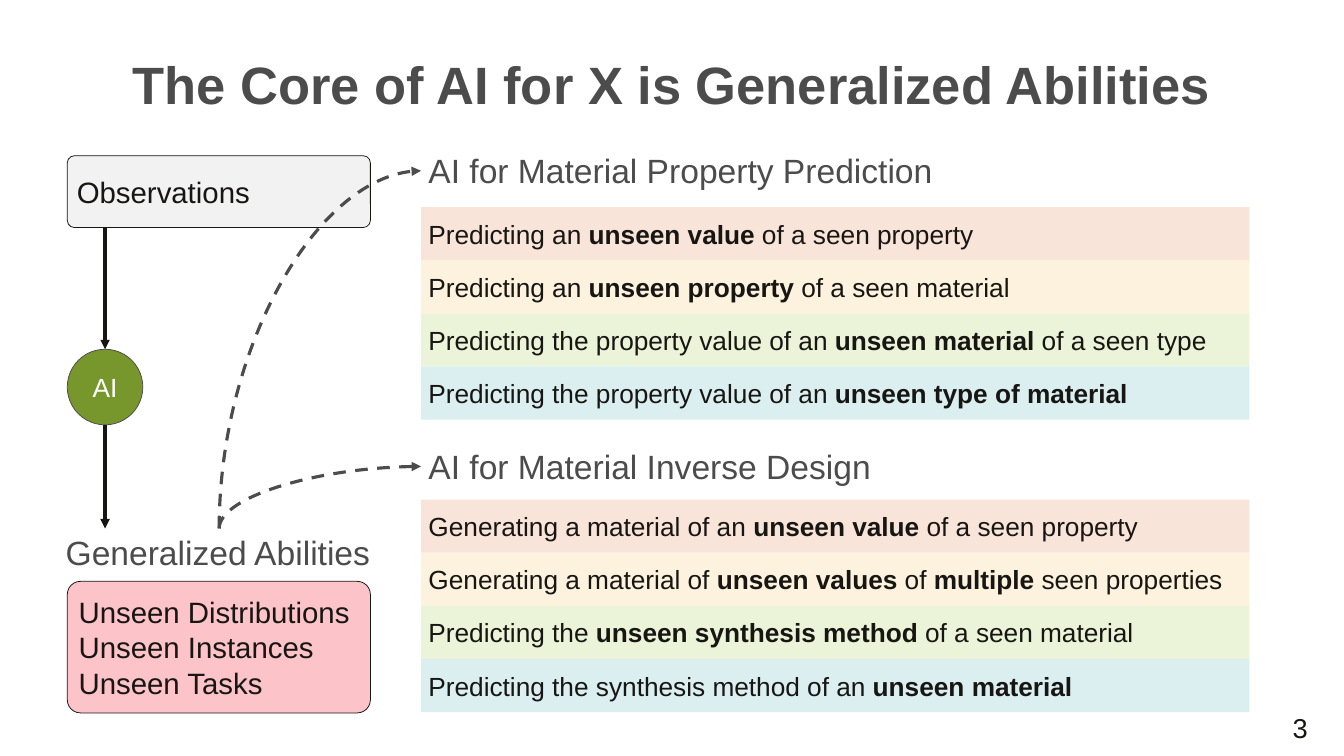
"""Build the slide on the generalized abilities at the core of AI for X."""

from dataclasses import dataclass
from typing import Optional

from pptx import Presentation
from pptx.dml.color import RGBColor
from pptx.enum.dml import MSO_LINE_DASH_STYLE as Dash
from pptx.enum.shapes import MSO_CONNECTOR as Link, MSO_SHAPE as Preset
from pptx.enum.text import MSO_ANCHOR as Anchor, MSO_AUTO_SIZE as AutoSize, PP_ALIGN as Align
from pptx.oxml.ns import qn
from pptx.util import Inches, Pt


@dataclass(frozen=True)
class Theme:
    font: str = "Arial"
    ink: str = "171613"
    gray: str = "4C4C4C"
    white: str = "FFFFFF"
    green: str = "77972C"
    pink: str = "FCC3C9"
    pale: str = "F2F2F2"
    bands: tuple[str, ...] = ("F9E4D9", "FCF2DE", "EBF4D8", "DBEFF1")
    title: float = 50
    heading: float = 32
    panel: float = 28
    number: float = 26
    body: float = 25
    outline: float = 0.75
    arrow: float = 3


@dataclass(frozen=True)
class Area:
    left: float
    top: float
    width: float
    height: float

    def lengths(self) -> tuple:
        return tuple(Inches(v) for v in (self.left, self.top, self.width, self.height))


@dataclass(frozen=True)
class Section:
    """A heading and its rows; the spans of a row alternate plain and bold."""

    heading: str
    heading_area: Area
    rows_top: float
    rows: tuple[tuple[str, ...], ...]


THEME = Theme()
COLUMN_LEFT, COLUMN_WIDTH, BAND_HEIGHT = 5.57, 10.96, 2.81 / 4
PANEL_LEFT, PANEL_WIDTH = 0.89, 4.01
FLOW_X, ABILITIES_X, ABILITIES_TOP = 1.39, 2.9, 6.99
SECTIONS = (
    Section("AI for Material Property Prediction", Area(COLUMN_LEFT, 1.94, 6.99, 0.64), 2.74, (
        ("Predicting an ", "unseen value", " of a seen property"),
        ("Predicting an ", "unseen property", " of a seen material"),
        ("Predicting the property value of an ", "unseen material", " of a seen type"),
        ("Predicting the property value of an ", "unseen type of material"),
    )),
    Section("AI for Material Inverse Design", Area(COLUMN_LEFT, 5.85, 6.08, 0.64), 6.61, (
        ("Generating a material of an ", "unseen value ", "of a seen property"),
        ("Generating a material of ", "unseen values ", "of ", "multiple", " seen properties"),
        ("Predicting the ", "unseen synthesis method ", "of a seen material"),
        ("Predicting the synthesis method of an ", "unseen material"),
    )),
)


def style_font(font, size: float, color: str, bold: bool = False) -> None:
    font.name, font.size, font.bold = THEME.font, Pt(size), bold
    font.color.rgb = RGBColor.from_string(color)


def write(box, text: str, size: float, color: str, align=Align.LEFT, bold: bool = False) -> None:
    frame = box.text_frame
    frame.text = text
    frame.vertical_anchor = Anchor.MIDDLE
    for para in frame.paragraphs:
        para.alignment = align
        for span in para.runs:
            style_font(span.font, size, color, bold)


def set_wide_insets(box) -> None:
    frame = box.text_frame
    frame.margin_left = frame.margin_right = Inches(0.16)
    frame.margin_top = frame.margin_bottom = Inches(0.08)


def add_block(page, preset, area: Area, fill: str, line: Optional[str] = None):
    block = page.shapes.add_shape(preset, *area.lengths())
    block.shadow.inherit = False
    block.fill.solid()
    block.fill.fore_color.rgb = RGBColor.from_string(fill)
    if line:
        block.line.color.rgb = RGBColor.from_string(line)
        block.line.width = Pt(THEME.outline)
    else:
        block.line.fill.background()
    block.text_frame.word_wrap = True
    return block


def add_panel(page, top: float, height: float, fill: str, text: str) -> None:
    area = Area(PANEL_LEFT, top, PANEL_WIDTH, height)
    panel = add_block(page, Preset.ROUNDED_RECTANGLE, area, fill, THEME.ink)
    panel.adjustments[0] = 0.1
    write(panel, text, THEME.panel, THEME.ink)


def add_heading(page, area: Area, text: str) -> None:
    box = page.shapes.add_textbox(*area.lengths())
    write(box, text, THEME.heading, THEME.gray)
    box.text_frame.vertical_anchor = Anchor.TOP
    box.text_frame.word_wrap = False
    box.text_frame.auto_size = AutoSize.SHAPE_TO_FIT_TEXT


def add_arrow(page, kind, start: tuple[float, float], end: tuple[float, float], color: str):
    points = (Inches(v) for v in (*start, *end))
    arrow = page.shapes.add_connector(kind, *points)
    arrow.line.color.rgb = RGBColor.from_string(color)
    arrow.line.width = Pt(THEME.arrow)
    if kind == Link.CURVE:
        arrow.line.dash_style = Dash.DASH
    properties = arrow.element.spPr
    tail = properties.find(qn("a:ln")).makeelement(qn("a:tailEnd"), {"type": "triangle"})
    properties.find(qn("a:ln")).append(tail)
    properties.append(properties.makeelement(qn("a:effectLst"), {}))
    return arrow


def add_bend(page, start: tuple[float, float], end: tuple[float, float]) -> None:
    """Draw a curve that leaves upwards and arrives rightwards, as a quarter-turned connector."""
    middle_x, middle_y = (start[0] + end[0]) / 2, (start[1] + end[1]) / 2
    half_width, half_height = (start[1] - end[1]) / 2, (end[0] - start[0]) / 2
    bend = add_arrow(page, Link.CURVE, (middle_x + half_width, middle_y + half_height),
                     (middle_x - half_width, middle_y - half_height), THEME.gray)
    properties = bend.element.spPr
    properties.find(qn("a:xfrm")).set("rot", "5400000")
    properties.find(qn("a:prstGeom")).set("prst", "curvedConnector2")


def add_section(page, section: Section) -> None:
    for index, (spans, fill) in enumerate(zip(section.rows, THEME.bands)):
        top = section.rows_top + index * BAND_HEIGHT
        band = add_block(page, Preset.RECTANGLE, Area(COLUMN_LEFT, top, COLUMN_WIDTH, BAND_HEIGHT), fill)
        band.text_frame.vertical_anchor = Anchor.MIDDLE
        para = band.text_frame.paragraphs[0]
        para.alignment = Align.LEFT
        for position, text in enumerate(spans):
            span = para.add_run()
            span.text = text
            style_font(span.font, THEME.body, THEME.ink, position % 2 == 1)
    add_heading(page, section.heading_area, section.heading)


def add_title(page) -> None:
    title = page.shapes.title
    title.left, title.top, title.width, title.height = Area(0.89, 0.84, 16, 0.68).lengths()
    write(title, "The Core of AI for X is Generalized Abilities", THEME.title, THEME.gray, Align.CENTER, True)
    title.text_frame.auto_size = AutoSize.NONE
    title.text_frame.paragraphs[0].line_spacing = 0.8
    set_wide_insets(title)


def add_page_number(page) -> None:
    number = page.shapes.add_textbox(*Area(16.53, 9.42, 0.93, 0.4).lengths())
    number.text_frame.word_wrap = True
    write(number, "3", THEME.number, THEME.ink, Align.RIGHT)
    set_wide_insets(number)


def main() -> None:
    deck = Presentation()
    deck.slide_width, deck.slide_height = Inches(17.78), Inches(10)
    page = deck.slides.add_slide(deck.slide_layouts[5])
    add_title(page)
    add_page_number(page)
    for section in SECTIONS:
        add_section(page, section)

    add_panel(page, 7.69, 1.74, THEME.pink, "Unseen Distributions\nUnseen Instances\nUnseen Tasks")
    add_heading(page, Area(0.77, ABILITIES_TOP, 4.27, 0.64), "Generalized Abilities")
    add_panel(page, 2.06, 0.95, THEME.pale, "Observations")
    circle = add_block(page, Preset.OVAL, Area(PANEL_LEFT, 4.62, 1, 1), THEME.green, THEME.gray)
    write(circle, "AI", THEME.body, THEME.white, Align.CENTER)

    inward = add_arrow(page, Link.STRAIGHT, (FLOW_X, 3.01), (FLOW_X, 4.62), THEME.ink)
    inward.end_connect(circle, 0)
    add_arrow(page, Link.STRAIGHT, (FLOW_X, 5.62), (FLOW_X, ABILITIES_TOP), THEME.ink)
    for section in SECTIONS:
        area = section.heading_area
        add_bend(page, (ABILITIES_X, ABILITIES_TOP), (area.left, area.top + area.height / 2))
    deck.save("out.pptx")


if __name__ == "__main__":
    main()
